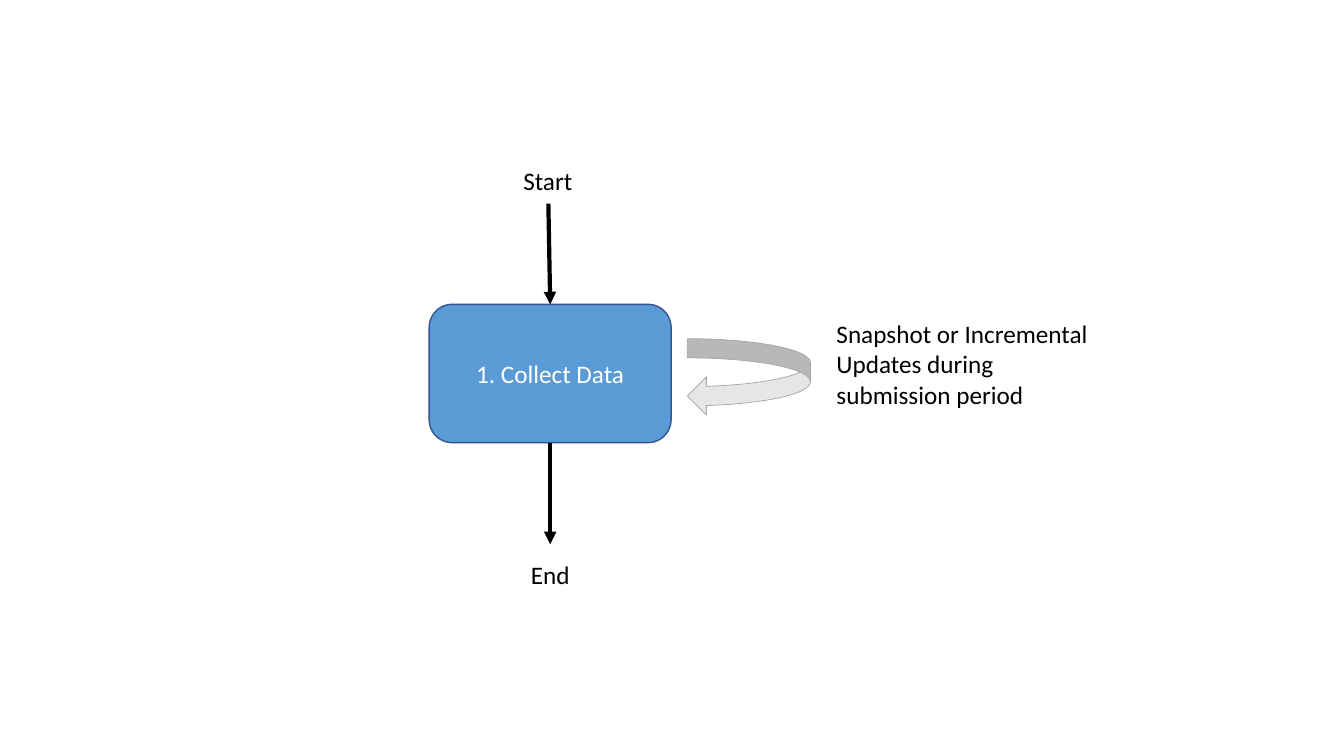
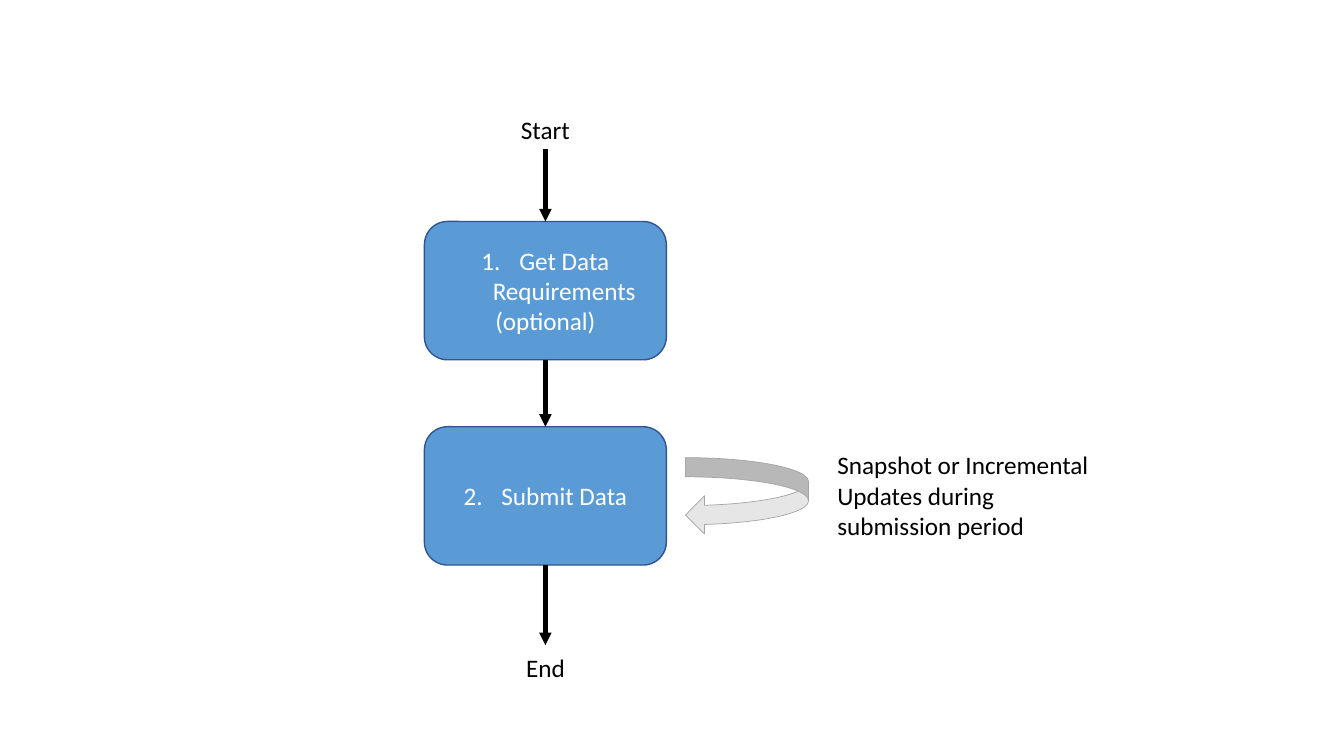
from lxml.etree import SubElement
from pptx import Presentation
from pptx.dml.color import RGBColor
from pptx.enum.shapes import MSO_CONNECTOR, MSO_SHAPE
from pptx.enum.text import MSO_ANCHOR, MSO_AUTO_SIZE, PP_ALIGN
from pptx.oxml.ns import qn
from pptx.util import Pt

BLACK = RGBColor(0x00, 0x00, 0x00)
WHITE = RGBColor(0xFF, 0xFF, 0xFF)
BLUE = RGBColor(0x5B, 0x9B, 0xD5)
NAVY = RGBColor(0x32, 0x54, 0x91)
PALE = RGBColor(0xE7, 0xE6, 0xE6)
GREY = RGBColor(0xA5, 0xA5, 0xA5)

FONT, SIZE = "Calibri", 18
BOX_W, BOX_H = 172.8, 98.8
LABEL_W, LABEL_H = 116, 29
LOOP_W, LOOP_H = 88, 54.8
NOTE_W, NOTE_H = 207.4, 72.7
INDENT = 27
TOP, BOTTOM = 0, 2  # connection sites
NOTE = "Snapshot or Incremental Updates during submission period"


class Flowchart:
    """Style of the flow charts and the slide being drawn."""

    def __init__(self, prs):
        self.prs = prs
        self.s = None

    def new_slide(self):
        self.s = self.prs.slides.add_slide(self.prs.slide_layouts[6])

    def set_text(self, tf, lines, color, align):
        tf.word_wrap = True
        tf.text = "\n".join(lines)
        for p in tf.paragraphs:
            p.alignment = align
            for r in p.runs:
                r.font.name, r.font.size = FONT, Pt(SIZE)
                r.font.color.rgb = color

    def shape(self, kind, x, y, w, h, fill, line, weight):
        sp = self.s.shapes.add_shape(kind, Pt(x), Pt(y), Pt(w), Pt(h))
        sp.shadow.inherit = False
        sp.fill.solid()
        sp.fill.fore_color.rgb = fill
        sp.line.color.rgb = line
        sp.line.width = Pt(weight)
        return sp

    def step(self, cx, y, lines, number=None):
        """Rounded box; its first line may carry an automatic number."""
        sp = self.shape(MSO_SHAPE.ROUNDED_RECTANGLE, cx - BOX_W / 2, y,
                        BOX_W, BOX_H, BLUE, NAVY, 1)
        tf = sp.text_frame
        tf.vertical_anchor = MSO_ANCHOR.MIDDLE
        self.set_text(tf, lines, WHITE, PP_ALIGN.CENTER)
        if number:
            pPr = tf.paragraphs[0]._p.get_or_add_pPr()
            pPr.set("marL", str(Pt(INDENT)))
            pPr.set("indent", str(-Pt(INDENT)))
            SubElement(pPr, qn("a:buFont"), typeface="+mj-lt")
            SubElement(pPr, qn("a:buAutoNum"), type="arabicPeriod",
                       startAt=str(number))
        return sp

    def text(self, x, y, w, h, words, align):
        tf = self.s.shapes.add_textbox(Pt(x), Pt(y), Pt(w), Pt(h)).text_frame
        self.set_text(tf, [words], BLACK, align)
        tf.auto_size = MSO_AUTO_SIZE.SHAPE_TO_FIT_TEXT

    def label(self, cx, y, words):
        self.text(cx - LABEL_W / 2, y, LABEL_W, LABEL_H, words,
                  PP_ALIGN.CENTER)

    def loop(self, x, y):
        self.shape(MSO_SHAPE.CURVED_LEFT_ARROW, x, y, LOOP_W, LOOP_H,
                   PALE, GREY, 0.5)

    def note(self, x, y):
        self.text(x, y, NOTE_W, NOTE_H, NOTE, PP_ALIGN.LEFT)

    def arrow(self, start, end):
        """Each end is a step box to join, or an (x, y) point."""
        points = [p if isinstance(p, tuple) else (0, 0) for p in (start, end)]
        cxn = self.s.shapes.add_connector(
            MSO_CONNECTOR.STRAIGHT, *[Pt(v) for p in points for v in p])
        if not isinstance(start, tuple):
            cxn.begin_connect(start, BOTTOM)
        if not isinstance(end, tuple):
            cxn.end_connect(end, TOP)
        cxn.line.color.rgb = BLACK
        cxn.line.width = Pt(3)
        spPr = cxn._element.spPr
        SubElement(spPr.get_or_add_ln(), qn("a:tailEnd"), type="triangle")
        SubElement(spPr, qn("a:effectLst"))


def collect_slide(chart):
    chart.new_slide()
    cx = 393
    collect = chart.step(cx, 217.4, ["1. Collect Data"])
    chart.label(391.3, 114.5, "Start")
    chart.label(cx, 396, "End")
    chart.arrow((391.7, 145.4), collect)
    chart.arrow(collect, (cx, 388.8))
    chart.loop(491, 241.9)
    chart.note(590.4, 223.9)


def submit_slide(chart):
    chart.new_slide()
    cx = 389.6
    get = chart.step(cx, 158.2, ["Get Data Requirements", "(optional)"], 1)
    submit = chart.step(cx, 304.8, ["Submit Data"], 2)
    chart.label(cx, 77.8, "Start")
    chart.label(cx, 462.2, "End")
    chart.arrow((cx, 106.6), get)
    chart.arrow(get, submit)
    chart.arrow(submit, (cx, 460.8))
    chart.loop(489.6, 326.9)
    chart.note(591, 317.7)


def main():
    prs = Presentation()
    prs.slide_width, prs.slide_height = Pt(960), Pt(540)
    chart = Flowchart(prs)
    collect_slide(chart)
    submit_slide(chart)
    prs.save("out.pptx")


if __name__ == "__main__":
    main()
